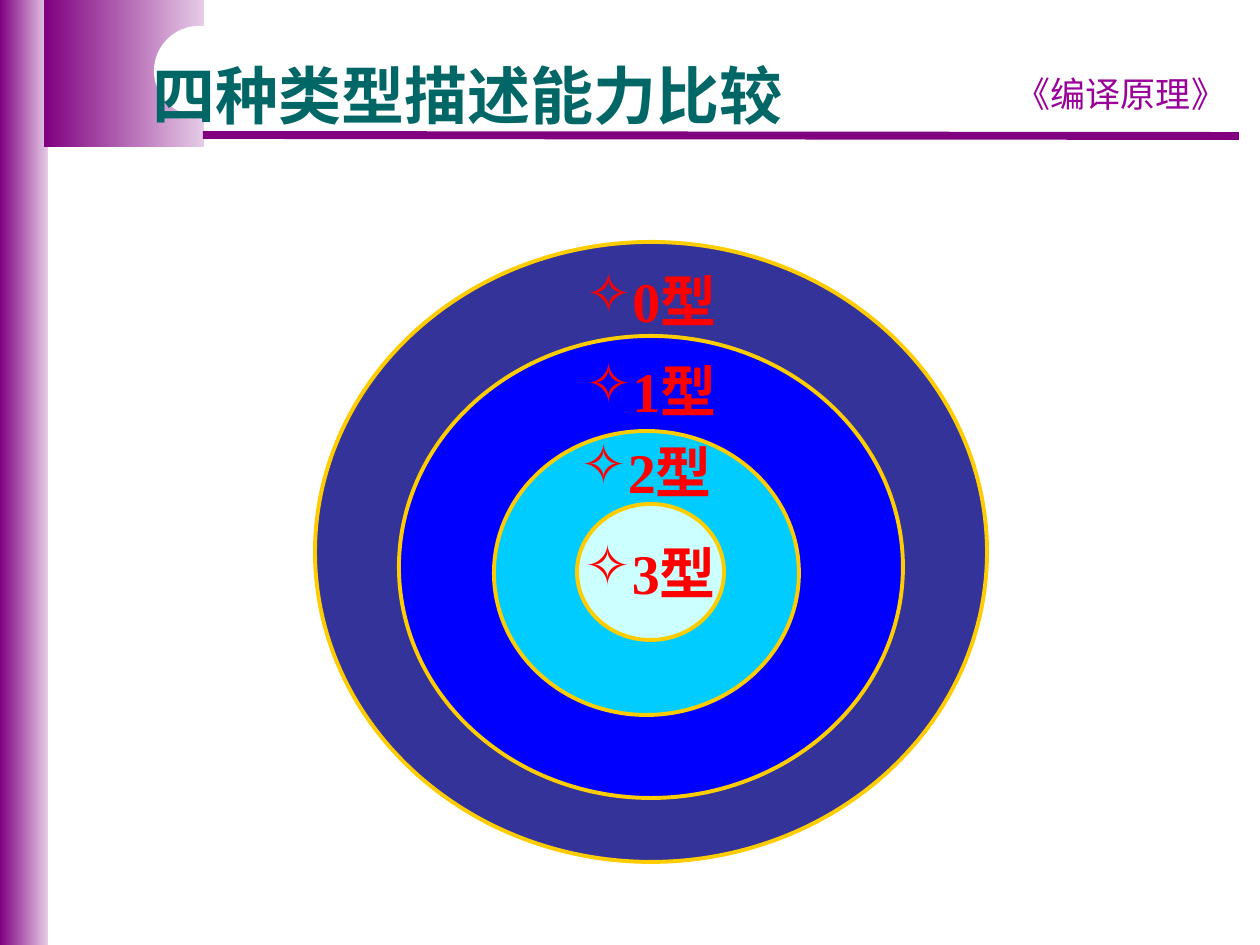
import pptx
import pptx.dml.color
import pptx.enum.shapes
import pptx.enum.text
import pptx.oxml
import pptx.oxml.ns
import pptx.util

RGBColor = pptx.dml.color.RGBColor
Shape = pptx.enum.shapes.MSO_SHAPE
Align = pptx.enum.text.PP_ALIGN
Anchor = pptx.enum.text.MSO_ANCHOR

PURPLE = RGBColor(0x80, 0x00, 0x80)
PALE_PURPLE = RGBColor(0xE6, 0xCC, 0xE6)
MAGENTA = RGBColor(0x99, 0x00, 0x99)
TEAL = RGBColor(0x00, 0x66, 0x66)
RED = RGBColor(0xFF, 0x00, 0x00)
GOLD = RGBColor(0xFF, 0xCC, 0x00)
WHITE = RGBColor(0xFF, 0xFF, 0xFF)
INDIGO = RGBColor(0x33, 0x33, 0x99)
BLUE = RGBColor(0x00, 0x00, 0xFF)
SKY = RGBColor(0x00, 0xCC, 0xFF)
ICE = RGBColor(0xCC, 0xFF, 0xFF)

CHINESE_FONT = "Noto Sans CJK SC"
EMU_PER_PX = 914400 / 126
LABEL_WIDTH, LABEL_HEIGHT = 200, 82

# label, ellipse left, top, width, height, label top, fill
GRAMMAR_TYPES = [
    ("0型", 315, 242, 672, 620, 259, INDIGO),
    ("1型", 399, 336, 504, 462, 349, BLUE),
    ("2型", 494, 431, 305, 284, 430, SKY),
    ("3型", 577, 504, 147, 136, 531, ICE),
]


def px(*lengths):
    return [pptx.util.Emu(round(length * EMU_PER_PX)) for length in lengths]


def append_drawing_xml(parent, tag, attributes="", content=""):
    namespace = pptx.oxml.ns.nsdecls("a")
    xml = f"<a:{tag} {namespace} {attributes}>{content}</a:{tag}>"
    parent.append(pptx.oxml.parse_xml(xml))


def add_shape(slide, kind, box):
    """Add a preset shape without shadow or outline."""
    shape = slide.shapes.add_shape(kind, *px(*box))
    shape.shadow.inherit = False
    shape.line.fill.background()
    return shape


def add_gradient_bar(slide, box):
    fill = add_shape(slide, Shape.RECTANGLE, box).fill
    fill.gradient()
    fill.gradient_angle = 0
    for stop, color in zip(fill.gradient_stops, (PURPLE, PALE_PURPLE)):
        stop.color.rgb = color


def add_solid_shape(slide, kind, box, color):
    shape = add_shape(slide, kind, box)
    shape.fill.solid()
    shape.fill.fore_color.rgb = color
    return shape


def add_rule(slide, ends):
    straight = pptx.enum.shapes.MSO_CONNECTOR.STRAIGHT
    rule = slide.shapes.add_connector(straight, *px(*ends))
    rule.line.color.rgb = PURPLE
    rule.line.width = pptx.util.Pt(4.5)
    append_drawing_xml(rule._element.spPr, "effectLst")


def add_text(slide, box, text, font_name, size, color, bold=False):
    """Add a one-line text box and return its text frame."""
    frame = slide.shapes.add_textbox(*px(*box)).text_frame
    frame.word_wrap = True
    frame.text = text
    run = frame.paragraphs[0].runs[0]
    run.font.size = pptx.util.Pt(size)
    run.font.bold = bold
    run.font.color.rgb = color
    run.font.name = font_name
    append_drawing_xml(run._r.get_or_add_rPr(), "ea",
                       f'typeface="{CHINESE_FONT}"')
    return frame


def add_star_bullet(paragraph):
    properties = paragraph._p.get_or_add_pPr()
    properties.set("marL", "0")
    properties.set("indent", "0")
    append_drawing_xml(properties, "buClr",
                       content=f'<a:srgbClr val="{RED}"/>')
    append_drawing_xml(properties, "buChar", 'char="✧"')


def add_grammar_type(slide, label, left, top, width, height, label_top, color):
    ellipse = add_solid_shape(slide, Shape.OVAL, (left, top, width, height), color)
    ellipse.line.color.rgb = GOLD
    ellipse.line.width = pptx.util.Pt(2.25)

    label_left = left + (width - LABEL_WIDTH) / 2
    frame = add_text(slide, (label_left, label_top, LABEL_WIDTH, LABEL_HEIGHT),
                     label, "Times New Roman", 32, RED, bold=True)
    frame.margin_top = frame.margin_bottom = 0
    frame.vertical_anchor = Anchor.MIDDLE
    add_star_bullet(frame.paragraphs[0])
    frame.paragraphs[0].alignment = Align.CENTER


def add_header(slide):
    add_gradient_bar(slide, (0, 0, 48, 945))
    add_gradient_bar(slide, (44, 0, 160, 147))
    add_rule(slide, (203, 135, 1239, 136))
    course = add_text(slide, (997, 66, 248, 55), "《编译原理》",
                      "Comic Neue", 20, MAGENTA)
    course.paragraphs[0].alignment = Align.CENTER
    cutout = add_solid_shape(slide, Shape.ROUNDED_RECTANGLE,
                             (154, 26, 456, 90), WHITE)
    cutout.adjustments[0] = 0.5
    title = add_text(slide, (69, 59, 1134, 189), "四种类型描述能力比较",
                     CHINESE_FONT, 36, TEAL, bold=True)
    title.margin_left = px(84)[0]
    title.paragraphs[0].line_spacing = 0.9


def main():
    presentation = pptx.Presentation()
    presentation.slide_width, presentation.slide_height = px(1260, 945)
    slide = presentation.slides.add_slide(presentation.slide_layouts[6])
    add_header(slide)
    for grammar_type in GRAMMAR_TYPES:
        add_grammar_type(slide, *grammar_type)
    presentation.save("out.pptx")


if __name__ == "__main__":
    main()
